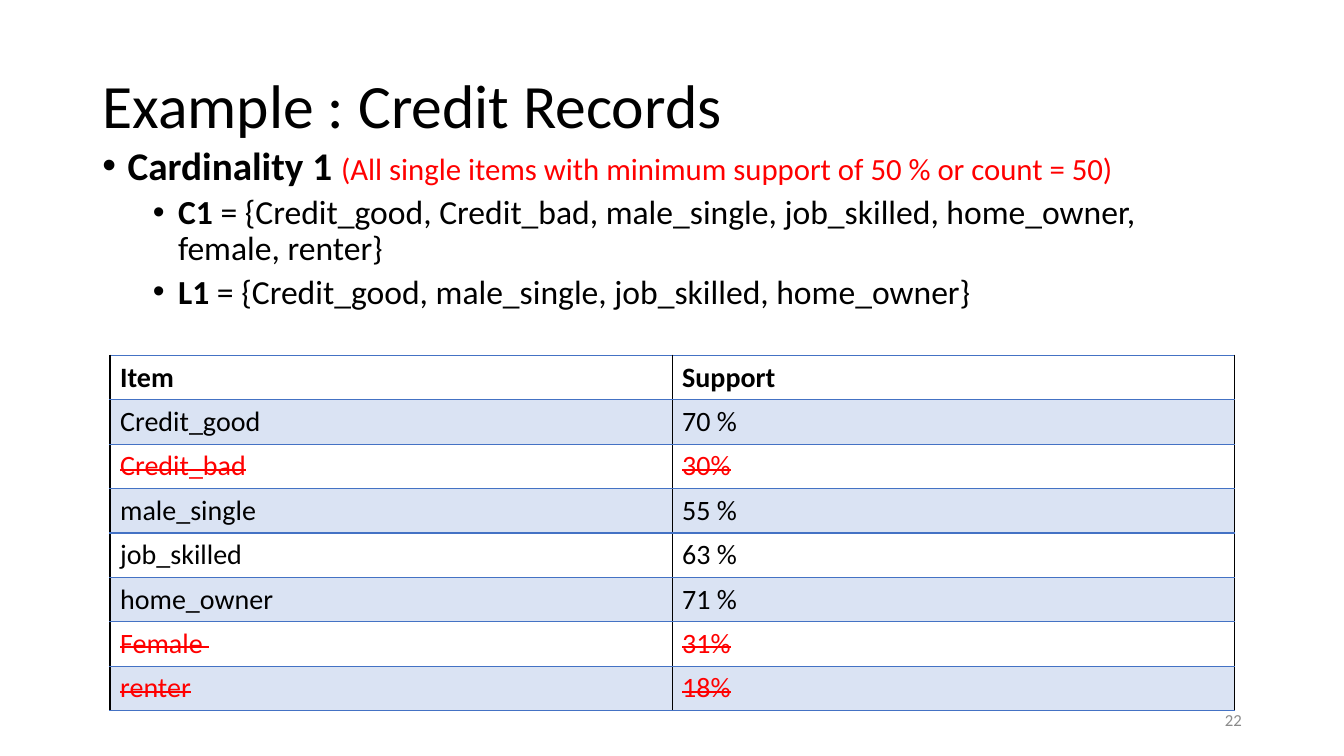
from pptx import Presentation
from pptx.dml.color import RGBColor
from pptx.enum.text import MSO_ANCHOR, MSO_AUTO_SIZE, PP_ALIGN
from pptx.oxml.ns import qn
from pptx.util import Inches, Pt
from lxml import etree

LEFT, RIGHT = PP_ALIGN.LEFT, PP_ALIGN.RIGHT
TOP, MIDDLE = MSO_ANCHOR.TOP, MSO_ANCHOR.MIDDLE
NO_FIT = MSO_AUTO_SIZE.NONE

UNIT = 1 / 12  # grid of 160 columns by 90 rows, in inches
FONT = "Calibri"
BLACK, RED, GREY = "000000", "FF0000", "8B8B8B"
BLUE, BAND, WHITE = "4472C4", "DAE3F3", "FFFFFF"

# Each paragraph: level, then runs of (text, size, colour, bold)
BULLETS = [
    (0, [("Cardinality 1 ", 28, BLACK, True),
         ("(All single items with minimum support of 50 % or count = 50)", 22, RED, False)]),
    (1, [("C1", 24, BLACK, True),
         (" = {Credit_good, Credit_bad, male_single, job_skilled, home_owner, "
          "female, renter}", 24, BLACK, False)]),
    (1, [("L1", 24, BLACK, True),
         (" = {Credit_good, male_single, job_skilled, home_owner}", 24, BLACK, False)]),
]
SUPPORT = [
    ("Item", "Support"),
    ("Credit_good", "70 %"),
    ("Credit_bad", "30%"),
    ("male_single", "55 %"),
    ("job_skilled", "63 %"),
    ("home_owner", "71 %"),
    ("Female ", "31%"),
    ("renter", "18%"),
]
REJECTED = {"Credit_bad", "Female ", "renter"}


def color(value):
    return RGBColor.from_string(value)


def grid(*cells):
    return [Inches(n * UNIT) for n in cells]


def set_attrs(obj, values):
    for name, value in values.items():
        setattr(obj, name, value)


def place(sp, box, anchor):
    set_attrs(sp, dict(zip(("left", "top", "width", "height"), grid(*box))))
    set_attrs(sp.text_frame, {"word_wrap": True, "auto_size": NO_FIT,
                              "vertical_anchor": anchor})
    return sp.text_frame


def add_run(p, text, size, fill=BLACK, bold=False):
    r = p.add_run()
    r.text = text
    set_attrs(r.font, {"name": FONT, "size": Pt(size), "bold": bold})
    r.font.color.rgb = color(fill)
    return r


def add_line(sp, box, text, size, fill, align):
    p = place(sp, box, MIDDLE).paragraphs[0]
    set_attrs(p, {"alignment": align, "line_spacing": 0.9})
    add_run(p, text, size, fill)


def add_bullets(sp, box, items):
    tf = place(sp, box, TOP)
    for i, (level, runs) in enumerate(items):
        p = tf.add_paragraph() if i else tf.paragraphs[0]
        set_attrs(p, {"level": level, "line_spacing": 0.9, "alignment": LEFT,
                      "space_before": Pt(5 if level else 10)})
        pPr = p._p.get_or_add_pPr()
        pPr.set("marL", str(Inches(0.25 + 0.5 * level)))
        pPr.set("indent", str(Inches(-0.25)))
        etree.SubElement(pPr, qn("a:buFont"), typeface="Arial")
        etree.SubElement(pPr, qn("a:buChar"), char="•")
        for run in runs:
            add_run(p, *run)


def add_borders(cell):
    tcPr = cell._tc.get_or_add_tcPr()
    for side, line in (("L", BLACK), ("R", BLACK), ("T", BLUE), ("B", BLUE)):
        ln = etree.SubElement(tcPr, qn("a:ln" + side), w=str(Pt(1)))
        fill = etree.SubElement(ln, qn("a:solidFill"))
        etree.SubElement(fill, qn("a:srgbClr"), val=line)


def add_support_table(slide, box, rows):
    table = slide.shapes.add_table(len(rows), len(rows[0]), *grid(*box)).table
    set_attrs(table, {"first_row": False, "horz_banding": False})
    for i, row in enumerate(rows):
        rejected = row[0] in REJECTED
        for j, text in enumerate(row):
            cell = table.cell(i, j)
            add_borders(cell)
            cell.fill.solid()
            cell.fill.fore_color.rgb = color(BAND if i % 2 else WHITE)
            r = add_run(cell.text_frame.paragraphs[0], text, 20,
                        RED if rejected else BLACK, i == 0)
            if rejected:
                r._r.get_or_add_rPr().set("strike", "sngStrike")


def main():
    prs = Presentation()
    set_attrs(prs, {"slide_width": Inches(13.33), "slide_height": Inches(7.5)})
    slide = prs.slides.add_slide(prs.slide_layouts[1])

    # Title and bullet list
    add_line(slide.shapes.title, (11, 4.2, 138, 17.4),
             "Example : Credit Records", 44, BLACK, LEFT)
    add_bullets(slide.placeholders[1], (11, 16.8, 138, 69.8), BULLETS)

    # Support of each single item
    add_support_table(slide, (13.1, 42.3, 133.8, 40.7), SUPPORT)

    # Page number
    number_box = (113, 83.4, 36, 4.8)
    add_line(slide.shapes.add_textbox(*grid(*number_box)), number_box,
             "22", 12, GREY, RIGHT)

    prs.save("out.pptx")


if __name__ == "__main__":
    main()
